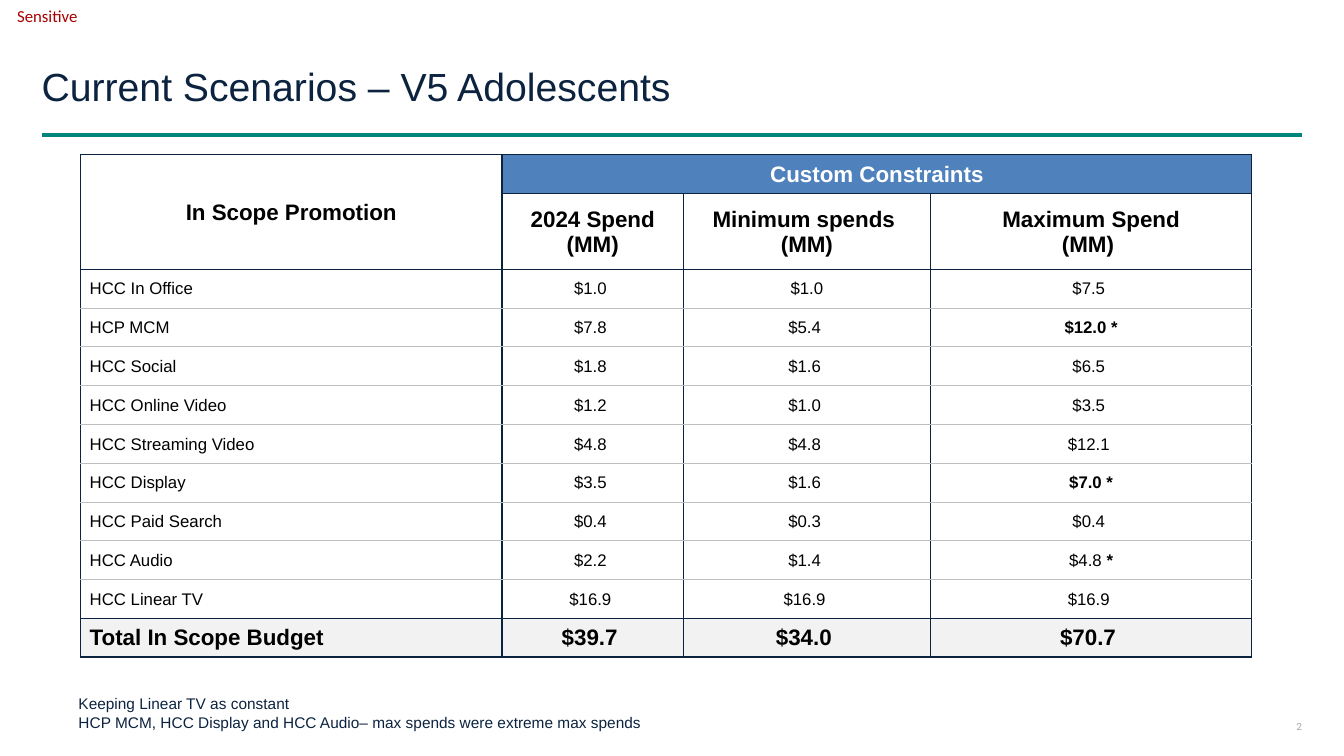
from lxml import etree
from pptx import Presentation
from pptx.dml.color import RGBColor
from pptx.enum.shapes import MSO_CONNECTOR
from pptx.enum.text import MSO_ANCHOR, PP_ALIGN
from pptx.oxml.ns import qn
from pptx.util import Pt

LEFT, CENTER, RIGHT = PP_ALIGN.LEFT, PP_ALIGN.CENTER, PP_ALIGN.RIGHT
MIDDLE, TOP = MSO_ANCHOR.MIDDLE, MSO_ANCHOR.TOP
STRAIGHT = MSO_CONNECTOR.STRAIGHT

NAVY, GREY, BLACK = "0C2340", "BFBFBF", "000000"
COL_WIDTHS = [301, 129.6, 176.4, 229.6]
ROW_H, HEAD_H = 27.7, 54
BODY_TOP = 2
# Trailing spaces shift the centred figures slightly to the left.
ROWS = [
    ["In Scope Promotion", "Custom Constraints", "", ""],
    ["", "2024 Spend\n(MM)", "Minimum spends \n(MM)", "Maximum Spend\v(MM) "],
    ["HCC In Office", "$1.0 ", "$1.0", "$7.5 "],
    ["HCP MCM", "$7.8 ", "$5.4 ", "$12.0 *"],
    ["HCC Social", "$1.8 ", "$1.6 ", "$6.5 "],
    ["HCC Online Video", "$1.2 ", "$1.0 ", "$3.5 "],
    ["HCC Streaming Video", "$4.8 ", "$4.8 ", "$12.1 "],
    ["HCC Display", "$3.5 ", "$1.6 ", "$7.0 *"],
    ["HCC Paid Search", "$0.4 ", "$0.3 ", "$0.4 "],
    ["HCC Audio", "$2.2 ", "$1.4 ", "$4.8 *"],
    ["HCC Linear TV", "$16.9 ", "$16.9 ", "$16.9 "],
    ["Total In Scope Budget", "$39.7 ", "$34.0 ", "$70.7 "],
]
TOTAL = len(ROWS) - 1
BOLD_VALUES = {"$12.0 *", "$7.0 *"}


def rgb(color):
    return RGBColor.from_string(color)


def format_text(tf, size, color, font="Arial", align=LEFT, anchor=MIDDLE, insets=(0, 0, 0, 0)):
    """Format a text frame; insets run left, top, right, bottom."""
    tf.word_wrap = True
    tf.vertical_anchor = anchor
    tf.margin_left, tf.margin_top, tf.margin_right, tf.margin_bottom = map(Pt, insets)
    for p in tf.paragraphs:
        p.alignment = align
        p.font.size, p.font.name = Pt(size), font
        p.font.color.rgb = rgb(color)


prs = Presentation()
prs.slide_width, prs.slide_height = Pt(960), Pt(540)
s = prs.slides.add_slide(prs.slide_layouts[5])

# Title and rule
title = s.shapes.title
title.left, title.top, title.width, title.height = Pt(29.7), Pt(30), Pt(901), Pt(67)
title.text_frame.text = "Current Scenarios – V5 Adolescents"
format_text(title.text_frame, 28, NAVY)
title.text_frame.paragraphs[0].line_spacing = 0.9

rule = s.shapes.add_connector(STRAIGHT, Pt(30), Pt(96.5), Pt(930), Pt(96.5))
rule.line.color.rgb = rgb("00857C")
rule.line.width = Pt(2.5)
etree.SubElement(rule.element.spPr, qn("a:effectLst"))

# Sensitivity label, page number and footnote
NOTE = ("Keeping Linear TV as constant\n"
        "HCP MCM, HCC Display and HCC Audio– max spends were extreme max spends")
for text, box, style in [
    ("Sensitive", (0, 0, 67.7, 23),
     dict(size=12, color="A80000", font="Calibri", align=CENTER)),
    ("2", (912, 510.5, 18, 17.3),
     dict(size=7, color="9EA7B3", font="Roboto", align=RIGHT)),
    (NOTE, (49, 492.5, 504, 34),
     dict(size=11, color=NAVY, anchor=TOP, insets=(7.2, 3.6, 7.2, 3.6))),
]:
    tf = s.shapes.add_textbox(*map(Pt, box)).text_frame
    tf.text = text
    format_text(tf, **style)

# Spend table
heights = [HEAD_H if i == 1 else ROW_H for i in range(len(ROWS))]
table = s.shapes.add_table(len(ROWS), len(COL_WIDTHS), Pt(57.6), Pt(110.6),
                           Pt(sum(COL_WIDTHS)), Pt(sum(heights))).table
table.first_row = table.horz_banding = False
for column, width in zip(table.columns, COL_WIDTHS):
    column.width = Pt(width)
for row, height in zip(table.rows, heights):
    row.height = Pt(height)
table.cell(0, 0).merge(table.cell(1, 0))
table.cell(0, 1).merge(table.cell(0, 3))

for i, values in enumerate(ROWS):
    body = BODY_TOP <= i < TOTAL
    for j, value in enumerate(values):
        cell = table.cell(i, j)
        tf = cell.text_frame
        amount, star, _ = value.partition("*")
        tf.text = amount
        label = j == 0 and i >= BODY_TOP
        format_text(tf, 12 if body else 16, "FFFFFF" if (i, j) == (0, 1) else BLACK,
                    align=LEFT if label else CENTER)
        cell.vertical_anchor = MIDDLE
        cell.margin_left = Pt(6.5 if label else 0.7)
        cell.margin_top = cell.margin_right = Pt(0.7)
        cell.margin_bottom = 0
        for p in tf.paragraphs:
            p.font.bold = not body or value in BOLD_VALUES
        if star:
            r = tf.paragraphs[0].add_run()
            r.text = star
            r.font.bold = True

        if (i, j) == (0, 1) or i == TOTAL:
            cell.fill.solid()
            cell.fill.fore_color.rgb = rgb("4F81BD" if i == 0 else "F2F2F2")
        else:
            cell.fill.background()

        thin_top = BODY_TOP < i < TOTAL
        thin_bottom = BODY_TOP <= i < TOTAL - 1
        tc_pr = cell._tc.get_or_add_tcPr()
        sides = [("L", False), ("R", False), ("T", thin_top), ("B", thin_bottom)]
        for n, (side, thin) in enumerate(sides):
            ln = etree.Element(qn(f"a:ln{side}"), w=str(Pt(0.5 if thin else 1)))
            fill = etree.SubElement(ln, qn("a:solidFill"))
            etree.SubElement(fill, qn("a:srgbClr"), val=GREY if thin else NAVY)
            tc_pr.insert(n, ln)

prs.save("out.pptx")
